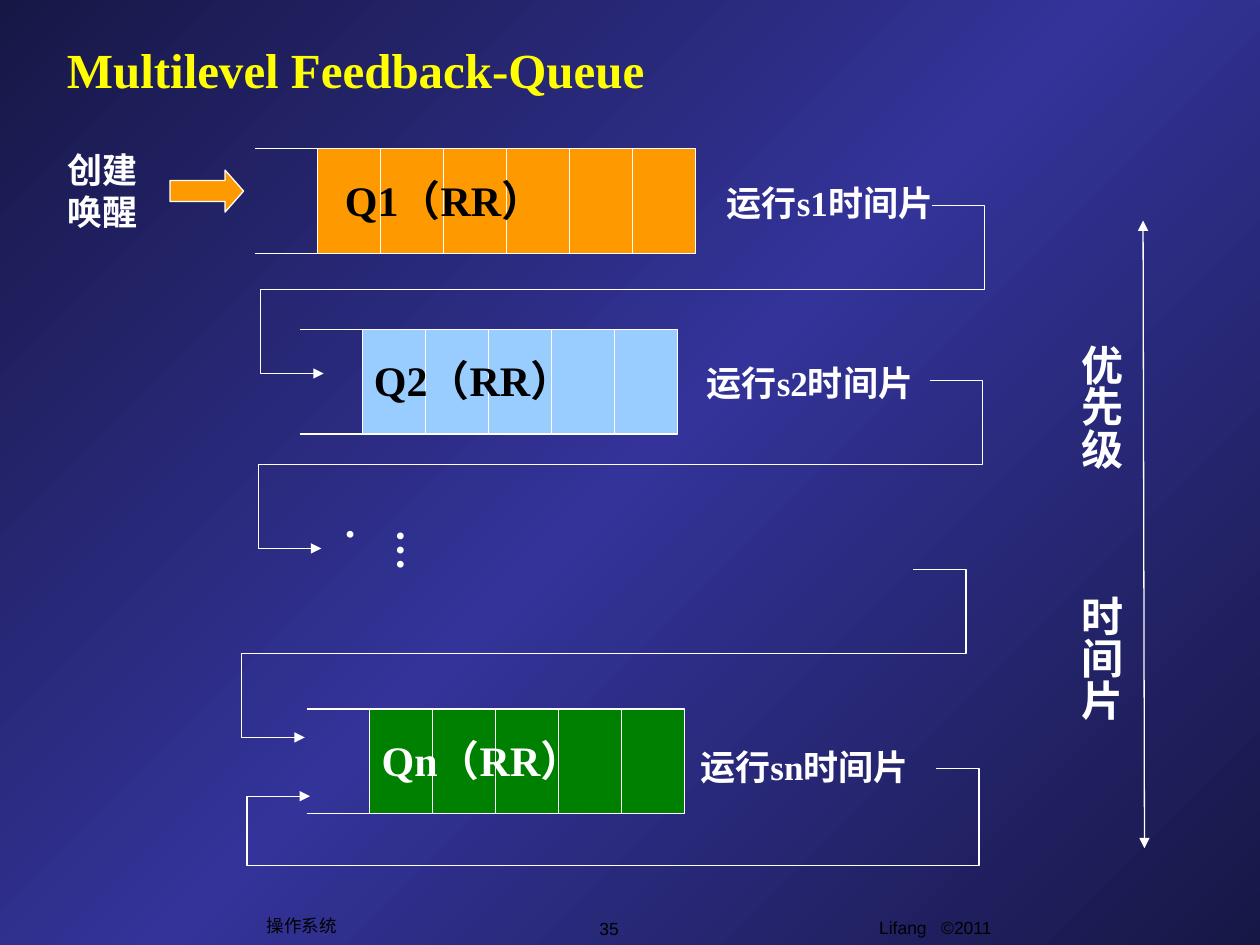
from copy import deepcopy

from lxml import etree
from pptx import Presentation
from pptx.dml.color import RGBColor
from pptx.enum import shapes, text
from pptx.oxml import ns
from pptx.util import Pt

color = RGBColor.from_string
WHITE, BLACK, YELLOW, ORANGE = "FFFFFF", "000000", "FFFF00", "FF9900"
SERIF, SANS = "Times New Roman", "Arial"


def outline(item, *arrow_ends):
    """Thin white line without shadow, with arrowheads at the named ends."""
    item.line.color.rgb = color(WHITE)
    item.line.width = Pt(0.75)
    properties = item._element.spPr
    for end in arrow_ends:
        etree.SubElement(properties.find(ns.qn("a:ln")), ns.qn(f"a:{end}"), type="triangle")
    if properties.find(ns.qn("a:effectLst")) is None:
        etree.SubElement(properties, ns.qn("a:effectLst"))


def add_text(words, left, top, width, height, size, ink=WHITE, font=SERIF,
             bold=True, wrap=True, vertical=False):
    box = slide.shapes.add_textbox(Pt(left), Pt(top), Pt(width), Pt(height))
    frame = box.text_frame
    frame.word_wrap = wrap
    if vertical:
        frame._txBody.bodyPr.set("vert", "eaVert")
        frame.margin_left = frame.margin_right = Pt(3.6)
        frame.margin_top = frame.margin_bottom = Pt(7.2)
    frame.text = words
    run = frame.paragraphs[0].runs[0]
    run.font.size, run.font.name, run.font.bold = Pt(size), font, bold
    run.font.color.rgb = color(ink)
    return frame


deck = Presentation()
deck.slide_width, deck.slide_height = Pt(720), Pt(540)
slide = deck.slides.add_slide(deck.slide_layouts[5])

# Background: dark corners, bright diagonal
backdrop = slide.background.fill
backdrop.gradient()
backdrop.gradient_angle = 135
stop_list = backdrop._fill._gradFill.find(ns.qn("a:gsLst"))
stop_list.insert(1, deepcopy(stop_list[0]))
for stop, position, shade in zip(backdrop.gradient_stops, (0, 0.5, 1),
                                 ("171746", "333399", "171746")):
    stop.position = position
    stop.color.rgb = color(shade)

# Footer
for words, left, top, width, height, wrap in (
        ("Lifang   ©2011", 420.5, 520.5, 228, 25, True),
        ("35", 318.2, 521.3, 59.8, 19.4, False),
        ("操作系统", 145.4, 519.1, 54, 19.4, False)):
    footer = add_text(words, left, top, width, height, 10, BLACK, SANS, False, wrap)
    footer.paragraphs[0].alignment = text.PP_ALIGN.CENTER

# Title
title = slide.shapes.title
title.left, title.top, title.width, title.height = Pt(31), Pt(13), Pt(588), Pt(53)
title.text_frame.text = "Multilevel Feedback-Queue"
title.text_frame.vertical_anchor = text.MSO_ANCHOR.MIDDLE
heading = title.text_frame.paragraphs[0]
heading.alignment = text.PP_ALIGN.LEFT
heading.runs[0].font.size = Pt(28)
heading.runs[0].font.name = SERIF
heading.runs[0].font.bold = True
heading.runs[0].font.color.rgb = color(YELLOW)

# Queues: a row of cells with an open entrance on the left
CELL_W, CELL_H = 36, 59.8
queues = (
    # name, ink, fill, cells, left, top, name left
    ("Q1（RR）", BLACK, ORANGE, 6, 181.5, 85, 190),
    ("Q2（RR）", BLACK, "99CCFF", 5, 207.2, 188.2, 206.6),
    ("Qn（RR）", WHITE, "008000", 5, 211.2, 405.2, 211),
)
for name, ink, fill, cells, left, top, name_left in queues:
    for index in range(cells):
        cell = slide.shapes.add_shape(shapes.MSO_SHAPE.RECTANGLE, Pt(left + index * CELL_W),
                                      Pt(top), Pt(CELL_W), Pt(CELL_H))
        cell.fill.solid()
        cell.fill.fore_color.rgb = color(fill)
        outline(cell)
    for y in (top, top + CELL_H):
        rail = slide.shapes.add_connector(shapes.MSO_CONNECTOR.STRAIGHT,
                                          Pt(left - CELL_W), Pt(y), Pt(left), Pt(y))
        outline(rail)
    add_text(name, name_left, top + 11, 202.3, 39.6, 24, ink)

# Time slice beside each queue
for words, left, top, width, height in (("运行s1时间片", 408.2, 100.1, 149.8, 31.7),
                                        ("运行s2时间片", 396.7, 203, 149.8, 31.7),
                                        ("运行sn时间片", 393.1, 422.6, 138.2, 55.4)):
    add_text(words, left, top, width, height, 20)

# New and woken processes enter the first queue
add_text("创建唤醒", 31.7, 81.4, 59.8, 55.4, 20)
entry = slide.shapes.add_shape(shapes.MSO_SHAPE.RIGHT_ARROW, Pt(97.2), Pt(97.2), Pt(42), Pt(24))
entry.adjustments[1] = 0.44
entry.fill.solid()
entry.fill.fore_color.rgb = color(ORANGE)
outline(entry)

# Feedback paths: start x and y, right x, return y, left x, end y
DROP = 48
paths = [(x, y, x + 30, y + DROP, x - 383.8, y + 2 * DROP)
         for x, y in ((532.8, 117.4), (531.4, 217.4), (522, 325.4))]
paths.append((535, 439.2, 559.4, 494.6, 141.1, 455))
for start_x, start_y, right, return_y, left, end_y in paths:
    route = ((right, start_y), (right, return_y), (left, return_y),
             (left, end_y), (left + CELL_W, end_y))
    builder = slide.shapes.build_freeform(Pt(start_x), Pt(start_y))
    builder.add_line_segments([(Pt(x), Pt(y)) for x, y in route], close=False)
    feedback = builder.convert_to_shape()
    feedback.fill.background()
    outline(feedback, "tailEnd")

# Vertical labels
for words, left, top, height in (("….", 211.7, 295.2, 41.8),
                                 ("优先级", 604.1, 189.4, 90),
                                 ("时间片", 604.1, 333, 90)):
    add_text(words, left, top, 43.2, height, 24, vertical=True)

# Axis of priority and time slice
axis = slide.shapes.add_connector(shapes.MSO_CONNECTOR.STRAIGHT,
                                  Pt(653.2), Pt(126), Pt(654), Pt(484.7))
outline(axis, "headEnd", "tailEnd")

deck.save("out.pptx")
